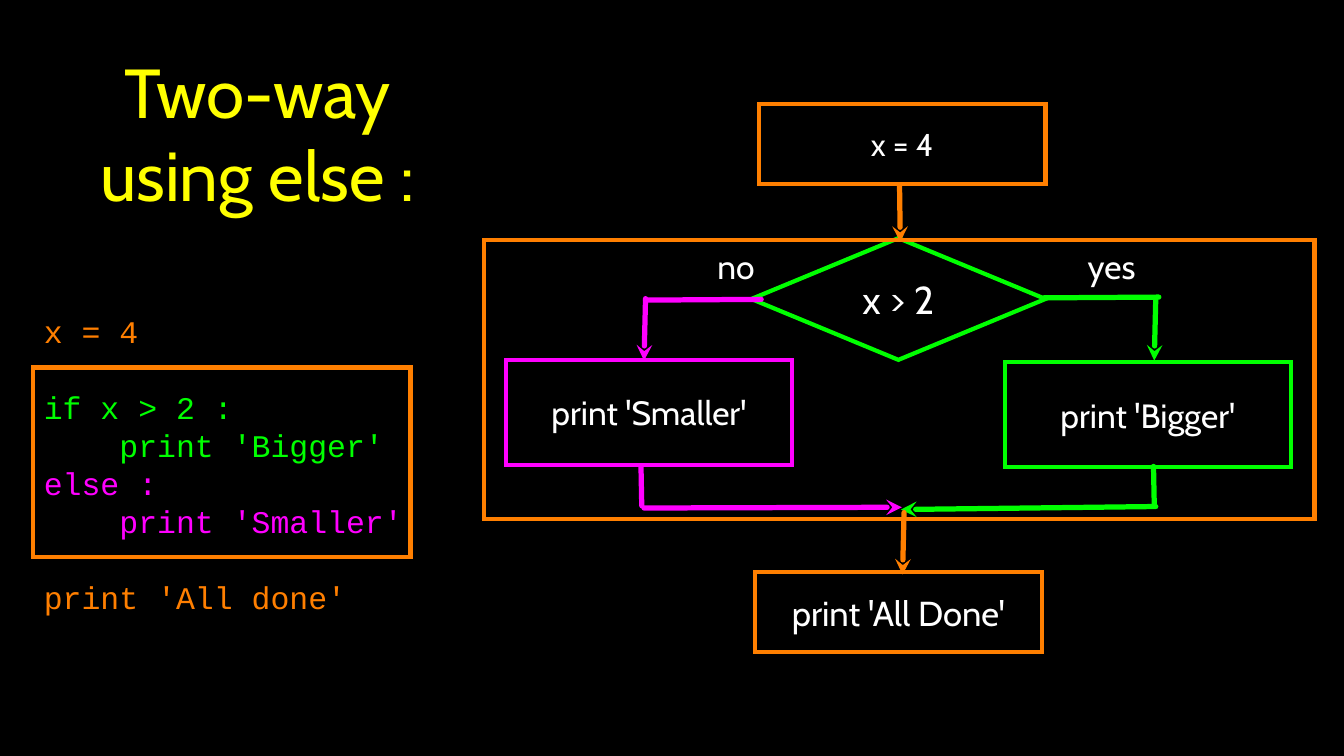
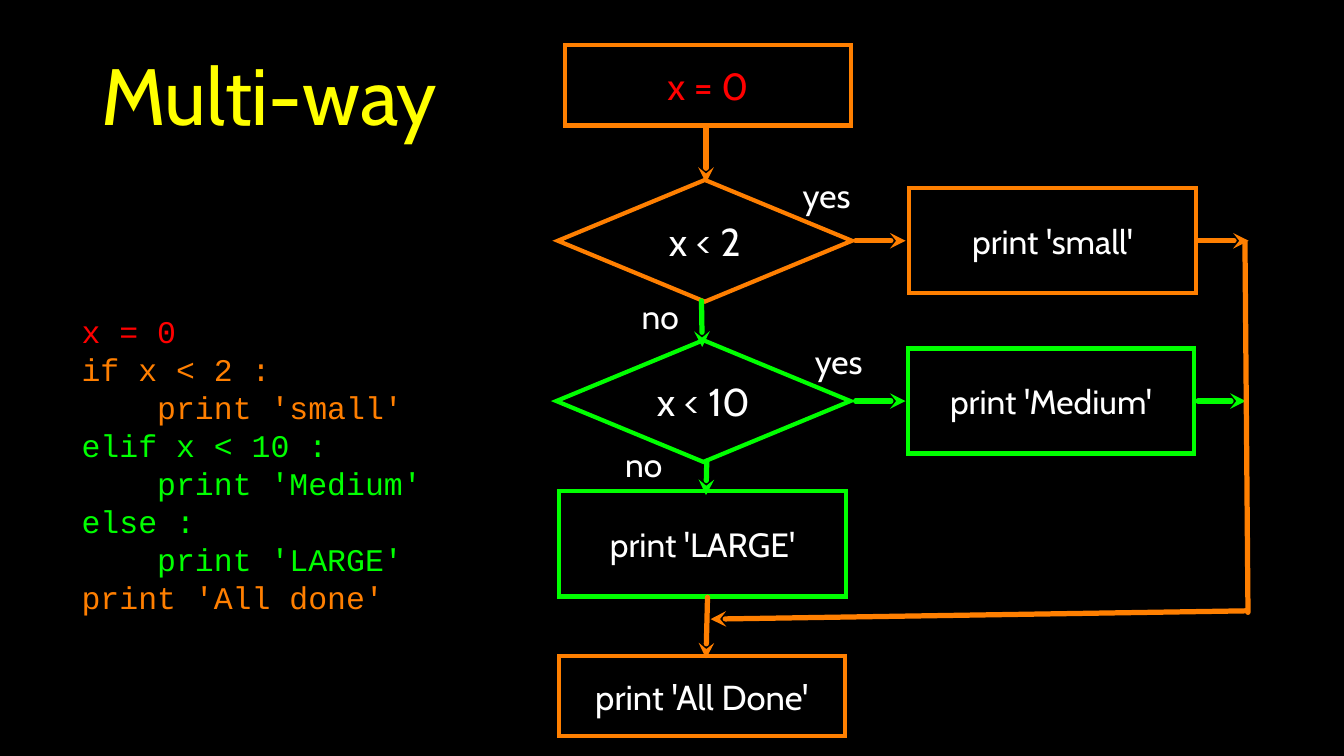
from lxml.etree import SubElement
from pptx import Presentation
from pptx.dml.color import RGBColor
from pptx.enum.shapes import MSO_CONNECTOR, MSO_SHAPE
from pptx.enum.text import MSO_ANCHOR, PP_ALIGN
from pptx.oxml.ns import qn
from pptx.util import Inches, Pt

COLORS = {
    "black": "000000", "white": "FFFFFF", "yellow": "FFFF00", "red": "FF0000",
    "orange": "FF7F00", "green": "00FF00", "magenta": "FF00FF",
}
DIAMOND = (3.89, 1.61)
START_END = (3.79, 1.06)
ACTION = (3.79, 1.39)
LABEL_WIDTHS = {"yes": 0.69, "no": 0.59}
CODE_PITCH = Pt(36.2)
CODE_INDENT = Inches(1)  # four characters of 30 pt Courier New


def rgb(color):
    return RGBColor.from_string(COLORS[color])


class FlowDeck:
    """Holds the shared style and the slide being drawn."""

    def __init__(self):
        self.prs = Presentation()
        self.prs.slide_width, self.prs.slide_height = Inches(17.78), Inches(10)
        self.slide = None

    def new_slide(self):
        self.slide = self.prs.slides.add_slide(self.prs.slide_layouts[6])
        background = self.slide.background.fill
        background.solid()
        background.fore_color.rgb = rgb("black")

    def prepare_frame(self, frame, margin=0.0):
        values = {"word_wrap": True, "vertical_anchor": MSO_ANCHOR.MIDDLE}
        for side in ("left", "top", "right", "bottom"):
            values[f"margin_{side}"] = Inches(margin)
        for name, value in values.items():
            setattr(frame, name, value)

    def add_text(self, paragraph, text, size, color="white", font="Cabin",
                 align=PP_ALIGN.CENTER):
        paragraph.alignment = align
        run = paragraph.add_run()
        run.text = text
        for name, value in {"name": font, "size": Pt(size)}.items():
            setattr(run.font, name, value)
        run.font.color.rgb = rgb(color)

    def text_frame(self, place, margin=0.0):
        frame = self.slide.shapes.add_textbox(*map(Inches, place)).text_frame
        self.prepare_frame(frame, margin)
        return frame

    def title(self, text, place, size):
        frame = self.text_frame(place, 0.04)
        self.add_text(frame.paragraphs[0], text, size, "yellow")

    def label(self, text, left, top):
        frame = self.text_frame((left, top, LABEL_WIDTHS[text], 0.61))
        frame.word_wrap = False
        self.add_text(frame.paragraphs[0], text, 32)

    def code(self, left, lines):
        """Each line is (text, color, indent level, blank lines before)."""
        frame = self.text_frame((left, 3.35, 5.26, 5.56))
        for index, (text, color, level, gap) in enumerate(lines):
            paragraph = frame.add_paragraph() if index else frame.paragraphs[0]
            paragraph.line_spacing = CODE_PITCH
            paragraph.space_before = gap * CODE_PITCH
            paragraph._p.get_or_add_pPr().set("marL", str(level * CODE_INDENT))
            self.add_text(paragraph, text, 30, color, "Courier New",
                          PP_ALIGN.LEFT)

    def node(self, color, left, top, size, text="", points=32,
             text_color="white", kind=MSO_SHAPE.RECTANGLE):
        shape = self.slide.shapes.add_shape(
            kind, *map(Inches, (left, top, *size)))
        shape.shadow.inherit = False
        shape.fill.background()
        shape.line.color.rgb = rgb(color)
        shape.line.width = Pt(4)
        SubElement(shape.line._get_or_add_ln(), qn("a:miter"), lim="800000")
        self.prepare_frame(shape.text_frame)
        if text:
            self.add_text(shape.text_frame.paragraphs[0], text, points,
                          text_color)

    def decision(self, color, left, top, text):
        self.node(color, left, top, DIAMOND, text, 37, kind=MSO_SHAPE.DIAMOND)

    def line(self, color, start, end, arrow=False):
        link = self.slide.shapes.add_connector(
            MSO_CONNECTOR.STRAIGHT, *map(Inches, (*start, *end)))
        link.line.color.rgb = rgb(color)
        link.line.width = Pt(5)
        outline = link.line._get_or_add_ln()
        outline.set("cap", "rnd")
        if arrow:
            SubElement(outline, qn("a:tailEnd"), type="stealth")
        SubElement(link._element.spPr, qn("a:effectLst"))

    def arrow(self, color, start, tip):
        self.line(color, start, tip, arrow=True)


def two_way(deck):
    deck.new_slide()

    # Decision and its "yes" branch
    deck.decision("green", 9.94, 3.15, "x > 2")
    deck.node("green", 13.29, 4.79, ACTION, "print 'Bigger'")
    deck.line("green", (13.81, 3.94), (15.33, 3.93))
    deck.arrow("green", (15.29, 3.95), (15.27, 4.77))
    deck.arrow("green", (15.29, 6.7), (11.92, 6.74))
    deck.line("green", (15.27, 6.67), (15.26, 6.17))
    deck.label("yes", 14.36, 3.22)
    deck.label("no", 9.44, 3.22)

    # Start
    deck.arrow("orange", (11.9, 2.45), (11.91, 3.2))
    deck.node("orange", 10.04, 1.38, START_END, "x = 4", 30)

    # "no" branch
    deck.line("magenta", (8.54, 3.97), (10.07, 3.96))
    deck.arrow("magenta", (8.54, 3.95), (8.52, 4.77))
    deck.node("magenta", 6.69, 4.76, ACTION, "print 'Smaller'")
    deck.arrow("magenta", (8.52, 6.72), (11.93, 6.71))
    deck.line("magenta", (8.49, 6.69), (8.48, 6.18))

    # End
    deck.arrow("orange", (11.96, 6.78), (11.94, 7.6))
    deck.node("orange", 9.99, 7.57, START_END, "print 'All Done'", 33)

    # Frames around the flow and the matching code
    deck.node("orange", 6.4, 3.17, (10.99, 3.69))
    deck.node("orange", 0.44, 4.86, (4.99, 2.51))

    deck.code(0.58, [
        ("x = 4", "orange", 0, 0),
        ("if x > 2 :", "green", 0, 1),
        ("print 'Bigger'", "green", 1, 0),
        ("else :", "magenta", 0, 0),
        ("print 'Smaller'", "magenta", 1, 0),
        ("print 'All done'", "orange", 0, 1),
    ])
    deck.title("Two-way using else :", (0.61, 0.5, 5.59, 2.51), 66)


def multi_way(deck):
    deck.new_slide()
    deck.title("Multi-way", (0.61, 0.33, 5.9, 1.81), 76)
    deck.code(1.08, [
        ("x = 0", "red", 0, 0),
        ("if x < 2 :", "orange", 0, 0),
        ("print 'small'", "orange", 1, 0),
        ("elif x < 10 :", "green", 0, 0),
        ("print 'Medium'", "green", 1, 0),
        ("else :", "green", 0, 0),
        ("print 'LARGE'", "green", 1, 0),
        ("print 'All done'", "orange", 0, 0),
    ])

    # Each test with its "yes" action and the arrows beside it
    tests = [
        ("orange", 7.38, 2.38, "x < 2", "print 'small'", 16.52),
        ("green", 7.36, 4.5, "x < 10", "print 'Medium'", 16.48),
    ]
    for color, left, top, test, action, exit_x in tests:
        middle = top + DIAMOND[1] / 2
        deck.decision(color, left, top, test)
        deck.node(color, left + 4.65, top + 0.11, ACTION, action)
        deck.arrow(color, (11.32, middle), (11.98, middle))
        deck.arrow(color, (15.85, middle), (exit_x, middle))
    deck.label("yes", 10.59, 2.27)
    deck.label("yes", 10.75, 4.47)

    # Return path to the end
    deck.line("orange", (16.51, 8.1), (16.47, 3.2))
    deck.arrow("orange", (16.49, 8.08), (9.4, 8.19))

    # Main column
    deck.node("orange", 7.47, 0.6, START_END, "x = 0", 36, "red")
    deck.arrow("orange", (9.34, 1.67), (9.34, 2.42))
    deck.arrow("green", (9.28, 3.98), (9.29, 4.59))
    deck.label("no", 8.44, 3.88)
    deck.node("green", 7.4, 6.5, ACTION, "print 'LARGE'")
    deck.arrow("green", (9.35, 6.1), (9.34, 6.55))
    deck.label("no", 8.22, 5.83)
    deck.arrow("orange", (9.36, 7.9), (9.34, 8.71))
    deck.node("orange", 7.39, 8.68, START_END, "print 'All Done'", 33)


def main():
    deck = FlowDeck()
    two_way(deck)
    multi_way(deck)
    deck.prs.save("out.pptx")


if __name__ == "__main__":
    main()
